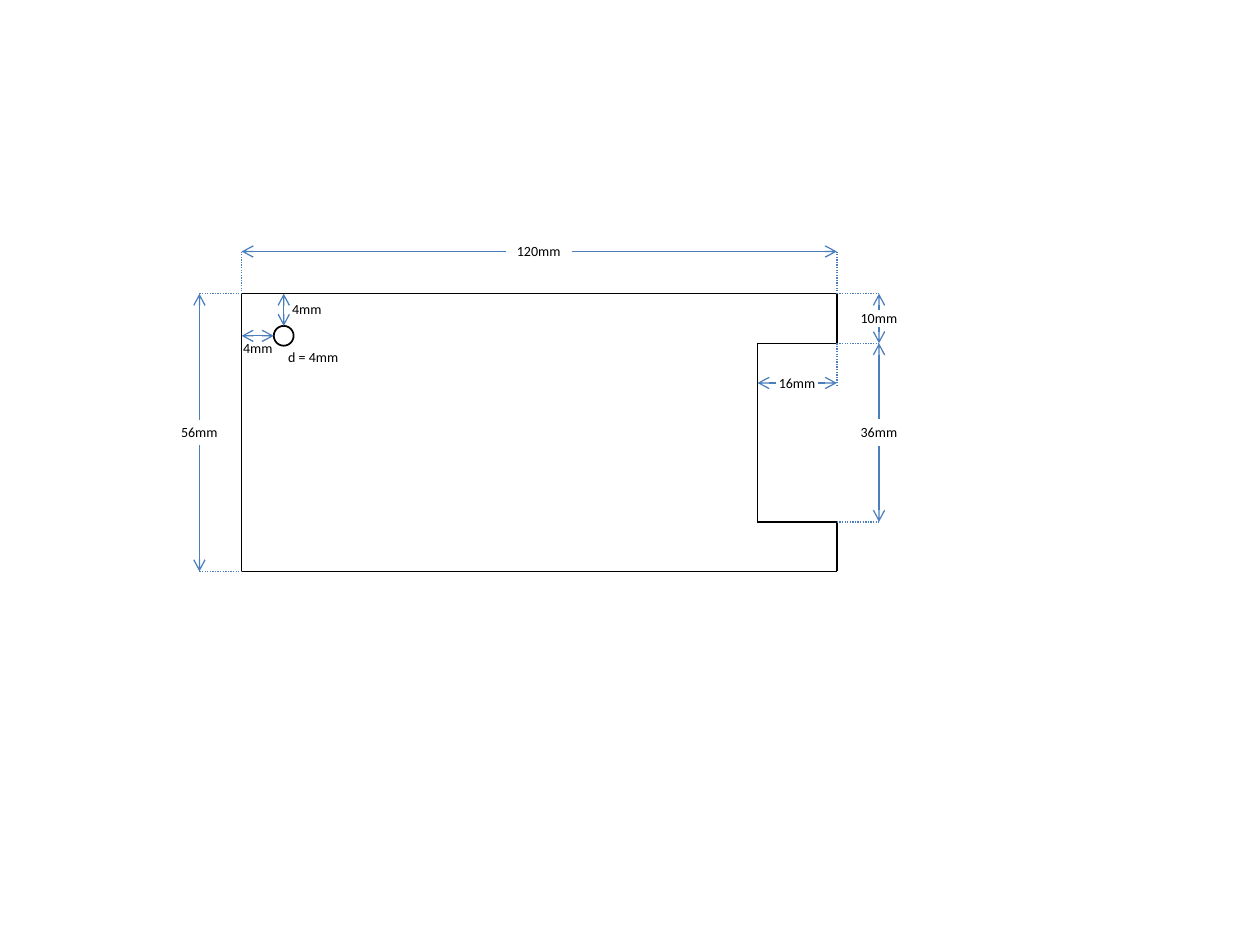
"""Draw a dimensioned plan of a notched plate with one hole."""
from pptx import Presentation
from pptx.dml.color import RGBColor
from pptx.enum.dml import MSO_LINE
from pptx.enum.shapes import MSO_CONNECTOR, MSO_SHAPE
from pptx.enum.text import MSO_AUTO_SIZE
from pptx.oxml.ns import qn
from pptx.util import Cm, Pt
from lxml import etree

BLACK = RGBColor(0x00, 0x00, 0x00)
BLUE = RGBColor(0x4B, 0x7E, 0xBC)
DOT = MSO_LINE.ROUND_DOT
STRAIGHT = MSO_CONNECTOR.STRAIGHT
OVAL = MSO_SHAPE.OVAL
GROW = MSO_AUTO_SIZE.SHAPE_TO_FIT_TEXT


def write(frame, text, font="Calibri", size=8, color=BLACK):
    run = frame.paragraphs[0].add_run()
    run.text = text
    run.font.name = font
    run.font.size = Pt(size)
    run.font.color.rgb = color


class Plan:
    def __init__(self, slide, width=0.75):
        self.shapes = slide.shapes
        self.width = Pt(width)

    def line(self, start, end, color=BLACK, dash=None, ends=()):
        item = self.shapes.add_connector(STRAIGHT, *map(Cm, start + end))
        item.line.color.rgb = color
        item.line.width = self.width
        if dash is not None:
            item.line.dash_style = dash
        props = item.element.spPr
        for name in ends:
            etree.SubElement(props.find(qn("a:ln")), qn(name), type="arrow")
        etree.SubElement(props, qn("a:effectLst"))

    def label(self, text, x, y, width=1.24, height=0.6):
        box = self.shapes.add_textbox(Cm(x), Cm(y), Cm(width), Cm(height))
        box.text_frame.word_wrap = False
        box.text_frame.auto_size = GROW
        write(box.text_frame, text)

    def span(self, text, start, end, gap, width=1.24):
        length = abs(end[0] - start[0]) + abs(end[1] - start[1])
        mid = [(a + b) / 2 for a, b in zip(start, end)]
        for tip in (start, end):
            inner = tuple(m + (t - m) * gap / length for m, t in zip(mid, tip))
            self.line(inner, tip, BLUE, ends=["a:tailEnd"])
        self.label(text, mid[0] - width / 2, mid[1] - 0.3, width)

    def hole(self, x, y, size):
        ring = self.shapes.add_shape(
            OVAL, Cm(x - size / 2), Cm(y - size / 2), Cm(size), Cm(size))
        ring.shadow.inherit = False
        ring.fill.background()
        ring.line.color.rgb = BLACK
        ring.line.width = Pt(1)


deck = Presentation()
deck.slide_width, deck.slide_height = Cm(25.4), Cm(19.05)
plan = Plan(deck.slides.add_slide(deck.slide_layouts[6]))

LEFT, TOP, OUT = 4.87, 5.92, 0.85
RIGHT, BASE = LEFT + 12, TOP + 5.6
NOTCH, UPPER, LOWER = RIGHT - 1.6, TOP + 1, TOP + 4.6
FAR, NEAR, ABOVE = RIGHT + OUT, LEFT - OUT, TOP - OUT
DEPTH = UPPER + 0.8

edge = [(LEFT, TOP), (RIGHT, TOP), (RIGHT, UPPER), (NOTCH, UPPER),
        (NOTCH, LOWER), (RIGHT, LOWER), (RIGHT, BASE), (LEFT, BASE)]
for start, end in zip(edge, edge[1:] + edge[:1]):
    plan.line(start, end)

guides = [((x, ABOVE), (x, TOP)) for x in (LEFT, RIGHT)]
guides += [((RIGHT, y), (FAR, y)) for y in (TOP, UPPER, LOWER)]
guides += [((NEAR, y), (LEFT, y)) for y in (TOP, BASE)]
guides.append(((RIGHT, UPPER), (RIGHT, UPPER + OUT)))
for start, end in guides:
    plan.line(start, end, BLUE, DOT)

plan.span("120mm", (LEFT, ABOVE), (RIGHT, ABOVE), 1.32, 1.4)
plan.span("56mm", (NEAR, TOP), (NEAR, BASE), 0.52)
plan.span("36mm", (FAR, UPPER), (FAR, LOWER), 0.56)
plan.span("10mm", (FAR, TOP), (FAR, UPPER), 0.33)
plan.span("16mm", (NOTCH, DEPTH), (RIGHT, DEPTH), 0.84)

X, Y, SIZE = LEFT + OUT, TOP + OUT, 0.4
BOTH = ["a:headEnd", "a:tailEnd"]
plan.hole(X, Y, SIZE)
plan.line((X, TOP), (X, Y - SIZE / 2), BLUE, ends=BOTH)
plan.line((LEFT, Y), (X - SIZE / 2, Y), BLUE, ends=BOTH)
plan.label("4mm", 5.64, 5.94, 1.12)
plan.label("4mm", 4.65, 6.73, 1.12)
plan.label("d = 4mm", 5.56, 6.91, 1.52)

deck.save("out.pptx")
